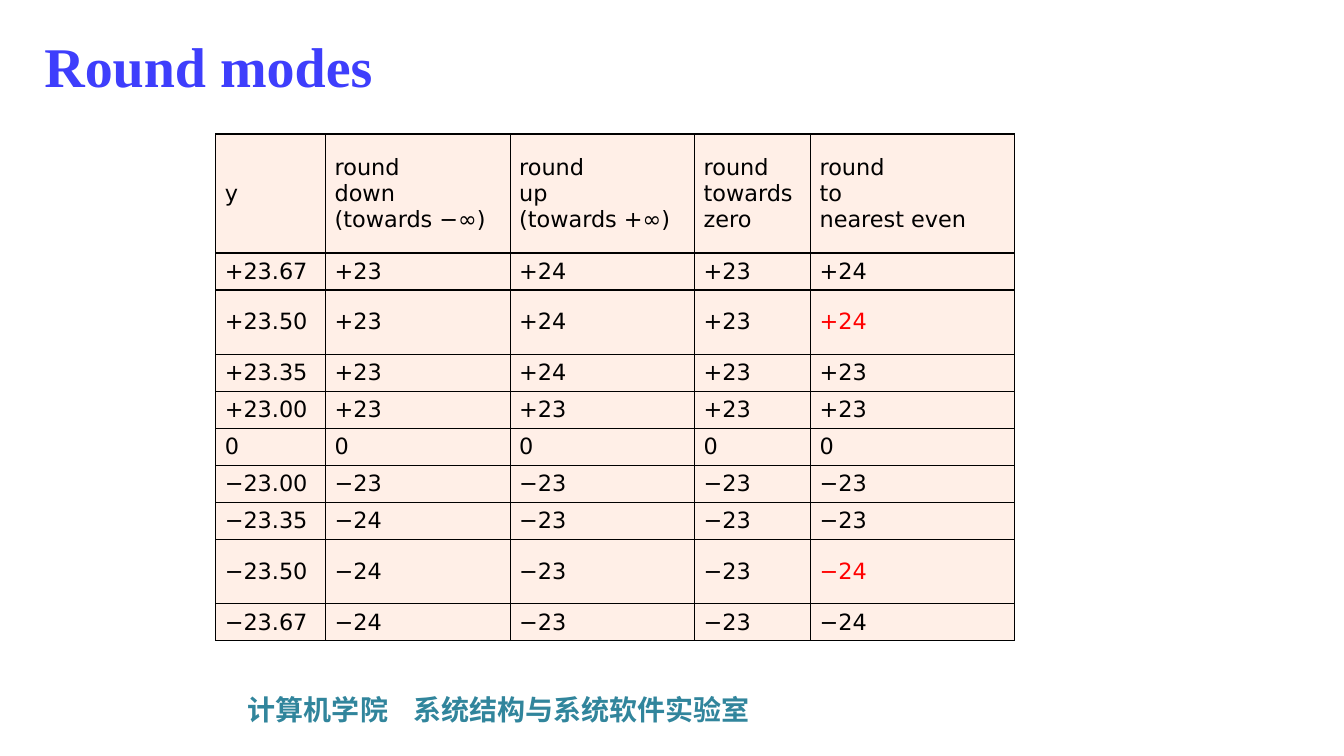
from pptx import Presentation, util as u
from pptx.dml.color import RGBColor
from pptx.enum import text
from pptx.oxml import ns
from lxml import etree

COLORS = {"title": "3E3EFC", "footer": "31859C", "text": "000000",
          "tie": "FF0000", "cell": "FFEFE7", "border": "000000"}
FONTS = {"title": "Times New Roman", "table": "DejaVu Sans",
         "footer": "Noto Sans CJK SC"}


class SlideBuilder:
    def __init__(self, prs):
        self.s = prs.slides.add_slide(prs.slide_layouts[5])

    def run(self, p, words, size, font, color, bold=False):
        r = p.add_run()
        r.text = words
        r.font.size = u.Pt(size)
        r.font.bold = bold
        r.font.color.rgb = RGBColor.from_string(COLORS[color])
        r.font.name = FONTS[font]
        ea = etree.SubElement(r.font._element, ns.qn("a:ea"))
        ea.set("typeface", FONTS[font])

    def title(self, words, box):
        sp = self.s.shapes.title
        sp.left, sp.top, sp.width, sp.height = map(u.Inches, box)
        tf = sp.text_frame
        tf.vertical_anchor = text.MSO_ANCHOR.MIDDLE
        p = tf.paragraphs[0]
        p.alignment = text.PP_ALIGN.LEFT
        self.run(p, words, 40, "title", "title", True)

    def footer(self, words, box, tab):
        tf = self.s.shapes.add_textbox(*map(u.Inches, box)).text_frame
        tf.word_wrap = True
        tf.auto_size = text.MSO_AUTO_SIZE.SHAPE_TO_FIT_TEXT
        p = tf.paragraphs[0]
        tabs = etree.SubElement(p._p.get_or_add_pPr(), ns.qn("a:tabLst"))
        etree.SubElement(tabs, ns.qn("a:tab"), pos=str(u.Inches(tab)), algn="l")
        self.run(p, words, 20, "footer", "footer", True)

    def borders(self, cell):
        tcPr = cell._tc.get_or_add_tcPr()
        for i, side in enumerate(("lnL", "lnR", "lnT", "lnB")):
            ln = etree.Element(ns.qn("a:" + side), w=str(u.Pt(1)))
            fill = etree.SubElement(ln, ns.qn("a:solidFill"))
            etree.SubElement(fill, ns.qn("a:srgbClr"), val=COLORS["border"])
            tcPr.insert(i, ln)

    def cell(self, cell, words, color):
        cell.fill.solid()
        cell.fill.fore_color.rgb = RGBColor.from_string(COLORS["cell"])
        cell.vertical_anchor = text.MSO_ANCHOR.MIDDLE
        cell.margin_left = cell.margin_right = u.Inches(0.09)
        cell.margin_top = cell.margin_bottom = u.Inches(0.05)
        p = cell.text_frame.paragraphs[0]
        for i, line in enumerate(words.split("\n")):
            if i:
                p.add_line_break()
            self.run(p, line, 16, "table", color)
        self.borders(cell)

    def table(self, rows, box, widths, heights, ties):
        frame = self.s.shapes.add_table(len(rows), len(widths), *map(u.Inches, box))
        tbl = frame.table
        tbl.first_row = tbl.horz_banding = False
        for col, width in zip(tbl.columns, widths):
            col.width = u.Inches(width)
        for row, height in zip(tbl.rows, heights):
            row.height = u.Inches(height)
        for i, row in enumerate(rows):
            for j, words in enumerate(row):
                self.cell(tbl.cell(i, j), words, "tie" if (i, j) in ties else "text")


def main():
    prs = Presentation()
    prs.slide_width, prs.slide_height = u.Inches(13.33), u.Inches(7.5)
    slide = SlideBuilder(prs)

    # Footer and title
    slide.footer("计算机学院\t系统结构与系统软件实验室", (2.36, 6.82, 9.66, 0.44), 1.64)
    slide.title("Round modes", (0.34, 0.13, 11.48, 1.04))

    # Rounding table: the halfway rows are taller
    rows = [
        ("y", "round\ndown\n(towards −∞)", "round\nup\n(towards +∞)",
         "round\ntowards\nzero", "round\nto\nnearest even"),
        ("+23.67", "+23", "+24", "+23", "+24"),
        ("+23.50", "+23", "+24", "+23", "+24"),
        ("+23.35", "+23", "+24", "+23", "+23"),
        ("+23.00", "+23", "+23", "+23", "+23"),
        ("0", "0", "0", "0", "0"),
        ("−23.00", "−23", "−23", "−23", "−23"),
        ("−23.35", "−24", "−23", "−23", "−23"),
        ("−23.50", "−24", "−23", "−23", "−24"),
        ("−23.67", "−24", "−23", "−23", "−24"),
    ]
    height, header, tall = 5.01, 1.18, 0.64
    tie_rows = (2, 8)
    short = (height - header - 2 * tall) / 7
    heights = [header] + [tall if i in tie_rows else short for i in range(1, len(rows))]
    slide.table(rows, (2.14, 1.33, 7.92, height), (1.09, 1.83, 1.83, 1.15, 2.02),
                heights, {(i, 4) for i in tie_rows})

    prs.save("out.pptx")


if __name__ == "__main__":
    main()
